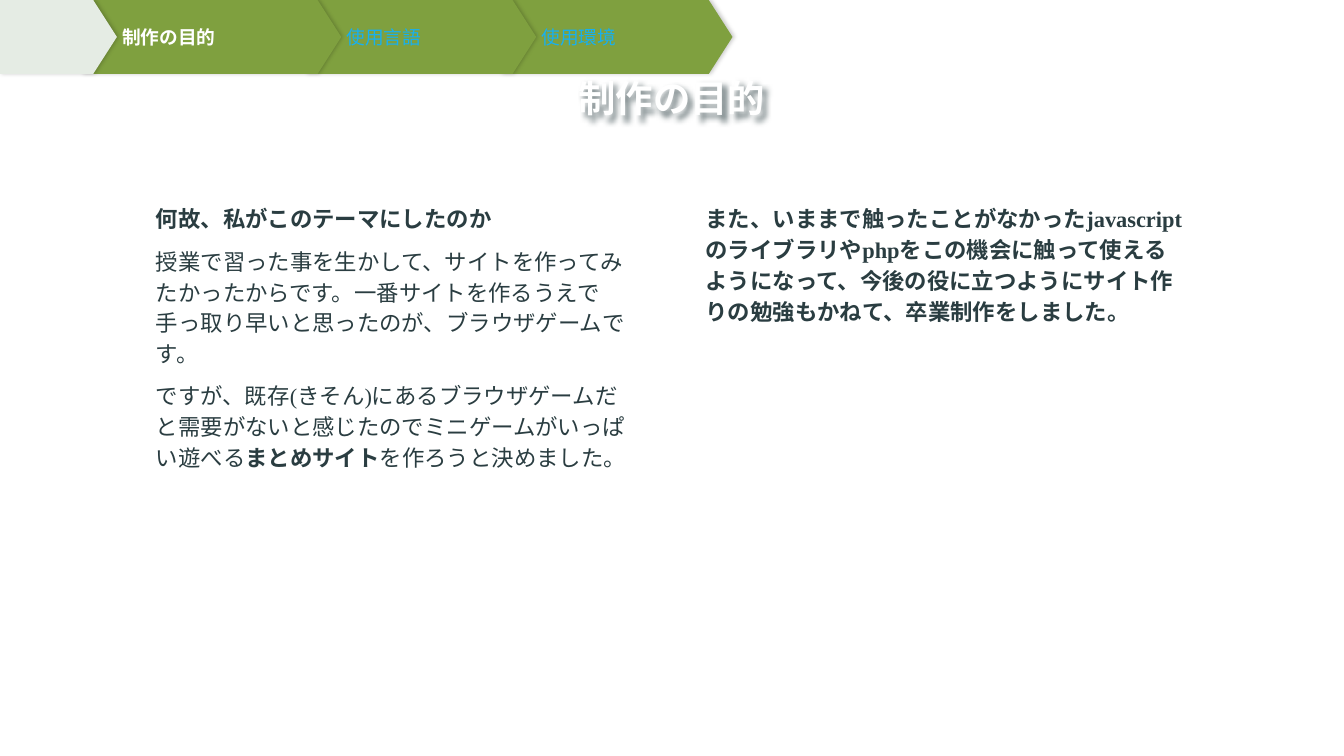
from dataclasses import dataclass

from lxml import etree
from pptx import Presentation
from pptx.dml.color import RGBColor
from pptx.enum.shapes import MSO_SHAPE
from pptx.enum.text import MSO_ANCHOR, MSO_AUTO_SIZE, PP_ALIGN
from pptx.oxml.ns import qn
from pptx.util import Inches, Pt

PENTAGON = MSO_SHAPE.PENTAGON
RECTANGLE = MSO_SHAPE.RECTANGLE
MIDDLE = MSO_ANCHOR.MIDDLE
TOP = MSO_ANCHOR.TOP
BOTTOM = MSO_ANCHOR.BOTTOM
LEFT = PP_ALIGN.LEFT
CENTER = PP_ALIGN.CENTER
NO_AUTOFIT = MSO_AUTO_SIZE.NONE

BODY_FONT = "Times New Roman"
TITLE_FONT = "Lato"
WHITE = "FFFFFF"
GREEN = "7FA03F"
PALE_GREEN = "E5ECE4"
LINK_BLUE = "17B0F0"
DARK = "2A3D41"
STEP_HEIGHT = 0.55


@dataclass(frozen=True)
class Step:
    left: float
    width: float
    fill: str
    label: str = ""
    color: str = WHITE
    bold: bool = False


@dataclass(frozen=True)
class Phrase:
    text: str
    bold: bool = False


STEPS = [
    Step(3.73, 1.72, GREEN, "使用環境", LINK_BLUE),
    Step(2.28, 1.71, GREEN, "使用言語", LINK_BLUE),
    Step(0.61, 1.93, GREEN, "制作の目的", WHITE, True),
    Step(0, 0.87, PALE_GREEN),
]

REASON = [
    [Phrase("何故、私がこのテーマにしたのか", True)],
    [Phrase("授業で習った事を生かして、サイトを作ってみたかったからです。"
            "一番サイトを作るうえで手っ取り早いと思ったのが、ブラウザゲームです。")],
    [Phrase("ですが、既存(きそん)にあるブラウザゲームだと需要がないと感じたので"
            "ミニゲームがいっぱい遊べる"),
     Phrase("まとめサイト", True),
     Phrase("を作ろうと決めました。")],
]
STUDY = [
    [Phrase("また、いままで触ったことがなかったjavascriptのライブラリやphpを"
            "この機会に触って使えるようになって、今後の役に立つように"
            "サイト作りの勉強もかねて、卒業制作をしました。", True)],
]


def rgb(color: str) -> RGBColor:
    return RGBColor.from_string(color)


def place(shape, left: float, top: float, width: float, height: float) -> None:
    shape.left, shape.top = Inches(left), Inches(top)
    shape.width, shape.height = Inches(width), Inches(height)


def set_frame(frame, anchor, left_inset: float = 0) -> None:
    frame.word_wrap = True
    frame.auto_size = NO_AUTOFIT
    frame.vertical_anchor = anchor
    frame.margin_left = Inches(left_inset)
    frame.margin_top = frame.margin_right = frame.margin_bottom = 0


def set_font(font, name: str, size: float, color: str, bold: bool) -> None:
    font.name = name
    font.size = Pt(size)
    font.bold = bold
    font.color.rgb = rgb(color)


def add_shadow(shape, color: str, opacity: int, blur: float,
               distance: float, angle: int) -> None:
    shape.shadow.inherit = False
    effects = shape._element.spPr.find(qn("a:effectLst"))
    shadow = etree.SubElement(
        effects, qn("a:outerShdw"), blurRad=str(Pt(blur)),
        dist=str(Pt(distance)), dir=str(angle * 60000), rotWithShape="0")
    shade = etree.SubElement(shadow, qn("a:srgbClr"), val=color)
    etree.SubElement(shade, qn("a:alpha"), val=str(opacity * 1000))


def add_panel(slide) -> None:
    panel = slide.shapes.add_shape(
        RECTANGLE, Inches(0.73), Inches(1.08), Inches(8.55), Inches(3.84))
    panel.shadow.inherit = False
    panel.fill.solid()
    panel.fill.fore_color.rgb = rgb(WHITE)
    panel.line.fill.background()


def format_title(title, text: str) -> None:
    place(title, 0.81, 0.55, 8.38, 0.35)
    set_frame(title.text_frame, BOTTOM)
    title.text_frame.text = text
    paragraph = title.text_frame.paragraphs[0]
    paragraph.alignment = CENTER
    paragraph.line_spacing = 0.9
    set_font(paragraph.font, TITLE_FONT, 20, WHITE, True)
    add_shadow(title, DARK, 60, 3, 2, 45)


def add_column(slide, left: float, paragraphs: list[list[Phrase]]) -> None:
    box = slide.shapes.add_textbox(
        Inches(left), Inches(1.5), Inches(3.58), Inches(2.99))
    frame = box.text_frame
    set_frame(frame, TOP)
    for index, phrases in enumerate(paragraphs):
        paragraph = frame.add_paragraph() if index else frame.paragraphs[0]
        paragraph.line_spacing = 1.15
        paragraph.space_before = Pt(6)
        set_font(paragraph.font, BODY_FONT, 12, DARK, phrases[0].bold)
        for phrase in phrases:
            run = paragraph.add_run()
            run.text = phrase.text
            if phrase.bold != phrases[0].bold:
                run.font.bold = phrase.bold


def add_step(slide, step: Step) -> None:
    shape = slide.shapes.add_shape(
        PENTAGON, Inches(step.left), 0, Inches(step.width), Inches(STEP_HEIGHT))
    shape.adjustments[0] = 0.32
    shape.fill.solid()
    shape.fill.fore_color.rgb = rgb(step.fill)
    shape.line.fill.background()
    add_shadow(shape, "000000", 20, 2.2, 0.8, 0)
    if step.label:
        set_frame(shape.text_frame, MIDDLE, 0.3)
        shape.text_frame.text = step.label
        paragraph = shape.text_frame.paragraphs[0]
        paragraph.alignment = LEFT
        set_font(paragraph.font, BODY_FONT, 10, step.color, step.bold)


def main() -> None:
    presentation = Presentation()
    presentation.slide_width = Inches(10)
    presentation.slide_height = Inches(10 * 9 / 16)
    slide = presentation.slides.add_slide(presentation.slide_layouts[5])
    format_title(slide.shapes.title, "制作の目的")
    add_panel(slide)
    add_column(slide, 5.25, STUDY)
    add_column(slide, 1.16, REASON)
    for step in STEPS:
        add_step(slide, step)
    presentation.save("out.pptx")


if __name__ == "__main__":
    main()
